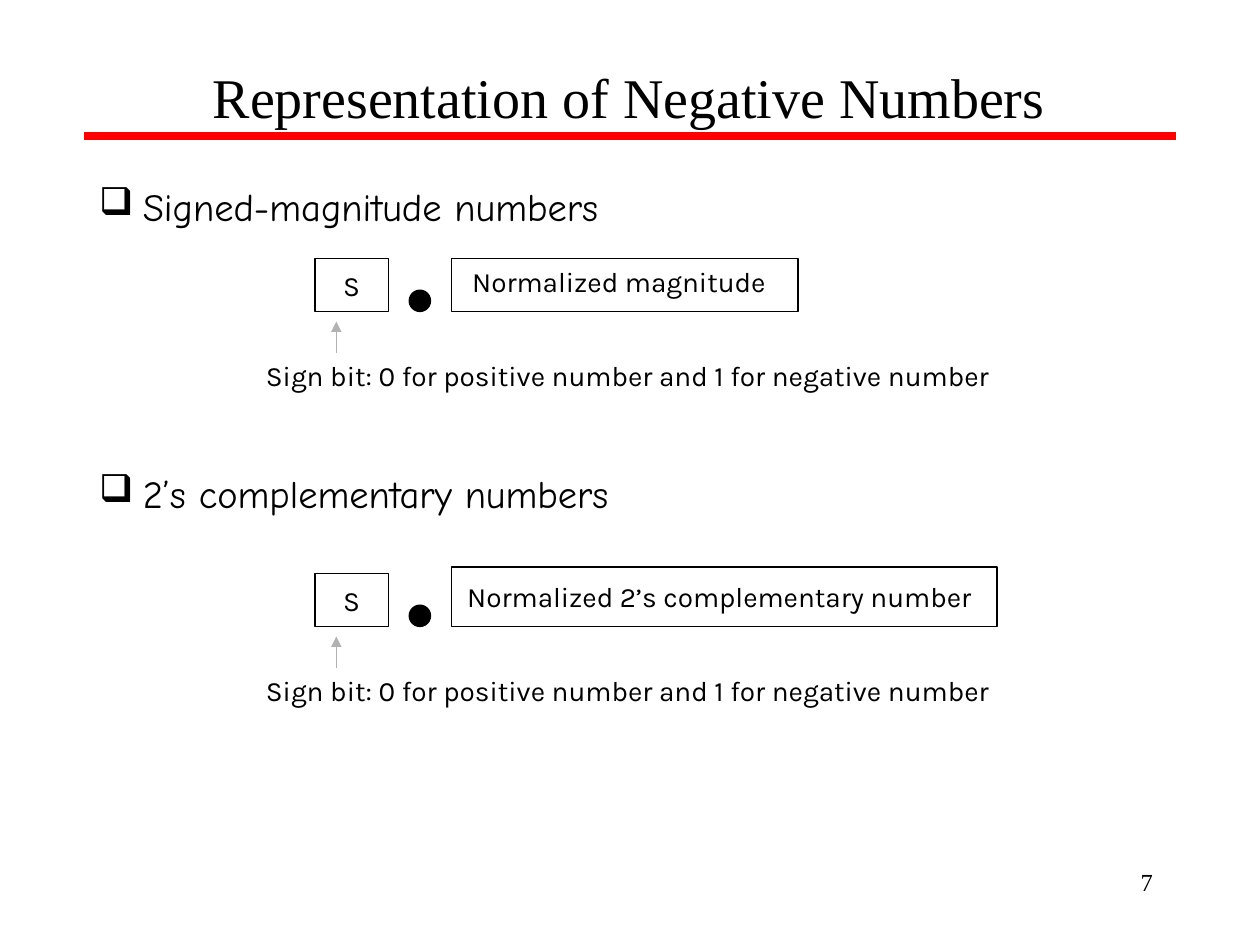
from lxml import etree
from pptx import Presentation
from pptx.dml.color import RGBColor
from pptx.enum.shapes import MSO_CONNECTOR, MSO_SHAPE
from pptx.enum.text import MSO_ANCHOR, PP_ALIGN
from pptx.oxml.ns import qn
from pptx.util import Cm, Pt

RECTANGLE, OVAL = MSO_SHAPE.RECTANGLE, MSO_SHAPE.OVAL
STRAIGHT = MSO_CONNECTOR.STRAIGHT
TOP, MIDDLE = MSO_ANCHOR.TOP, MSO_ANCHOR.MIDDLE
LEFT, CENTER, RIGHT = PP_ALIGN.LEFT, PP_ALIGN.CENTER, PP_ALIGN.RIGHT
COLORS = {"ink": "000000", "paper": "FFFFFF", "rule": "FF0000", "arrow": "B2B2B2"}
SERIF, HAND, SANS = "Times New Roman", "Comic Neue", "Karla"


class NumberSlide:
    """Draws the elements of a number-format slide in one shared style."""

    def __init__(self, slide):
        self.slide = slide

    def color(self, name):
        return RGBColor.from_string(COLORS[name])

    def set_text(self, frame, text, size, font, align, anchor, wrap, bullet=None):
        frame.word_wrap = wrap
        frame.vertical_anchor = anchor
        paragraph = frame.paragraphs[0]
        paragraph.text = text
        paragraph.alignment = align
        if bullet:
            properties = paragraph._p.get_or_add_pPr()
            properties.set("marL", str(Cm(0.88)))
            properties.set("indent", str(-Cm(0.88)))
            etree.SubElement(properties, qn("a:buChar"), char=bullet)
            paragraph.line_spacing = 1.5
        paragraph.font.size = Pt(size)
        paragraph.font.name = font
        paragraph.font.color.rgb = self.color("ink")

    def label(self, text, left, top, width, height, size=16, font=SANS,
              align=LEFT, wrap=False, bullet=None):
        box = self.slide.shapes.add_textbox(Cm(left), Cm(top), Cm(width), Cm(height))
        self.set_text(box.text_frame, text, size, font, align, TOP, wrap, bullet)

    def heading(self, text, top, width):
        self.label(text, 1.75, top, width, 1.65, size=22, font=HAND, bullet="❑")

    def shape(self, kind, left, top, width, height, fill="paper", text=None):
        shape = self.slide.shapes.add_shape(kind, Cm(left), Cm(top), Cm(width), Cm(height))
        shape.shadow.inherit = False
        shape.fill.solid()
        shape.fill.fore_color.rgb = self.color(fill)
        shape.line.color.rgb = self.color("ink")
        shape.line.width = Pt(0.75)
        if text:
            self.set_text(shape.text_frame, text, 16, SANS, CENTER, MIDDLE, False)

    def line(self, start, end, color, weight, arrow=False):
        line = self.slide.shapes.add_connector(STRAIGHT, *map(Cm, start + end))
        line.line.color.rgb = self.color(color)
        line.line.width = Pt(weight)
        properties = line._element.spPr
        if arrow:
            etree.SubElement(properties.get_or_add_ln(), qn("a:tailEnd"), type="triangle")
        etree.SubElement(properties, qn("a:effectLst"))

    def number_format(self, top, magnitude, label_left, label_width, box_width, rise=0):
        self.shape(OVAL, 8.25, top + 0.64, 0.43, 0.43, "ink")
        self.shape(RECTANGLE, 9.1, top - rise, box_width, 1.07 + rise)
        self.label(magnitude, label_left, top, label_width, 0.94)
        self.shape(RECTANGLE, 6.35, top, 1.48, 1.07, text="S")
        self.line((6.78, top + 1.9), (6.78, top + 1.27), "arrow", 0.75, arrow=True)
        self.label("Sign bit: 0 for positive number and 1 for negative number",
                   5.11, top + 1.9, 15.72, 0.94)


def main():
    deck = Presentation()
    deck.slide_width, deck.slide_height = Cm(25.4), Cm(19.05)
    page = NumberSlide(deck.slides.add_slide(deck.slide_layouts[6]))

    page.line((1.7, 2.75), (23.7, 2.75), "rule", 4.5)
    page.label("Representation of Negative Numbers", 1.47, 1.14, 22.43, 1.63,
               size=32, font=SERIF, align=CENTER, wrap=True)

    page.heading("Signed-magnitude numbers", 3.1, 10.82)
    page.number_format(5.21, "Normalized magnitude", 9.27, 6.6, 6.99)
    page.heading("2’s complementary numbers", 8.89, 11.07)
    page.number_format(11.56, "Normalized 2’s complementary number", 9.17, 11.13, 11, 0.13)

    page.label("7", 18.21, 17.35, 5.28, 1.27, size=14, font=SERIF, align=RIGHT, wrap=True)
    deck.save("out.pptx")


if __name__ == "__main__":
    main()
